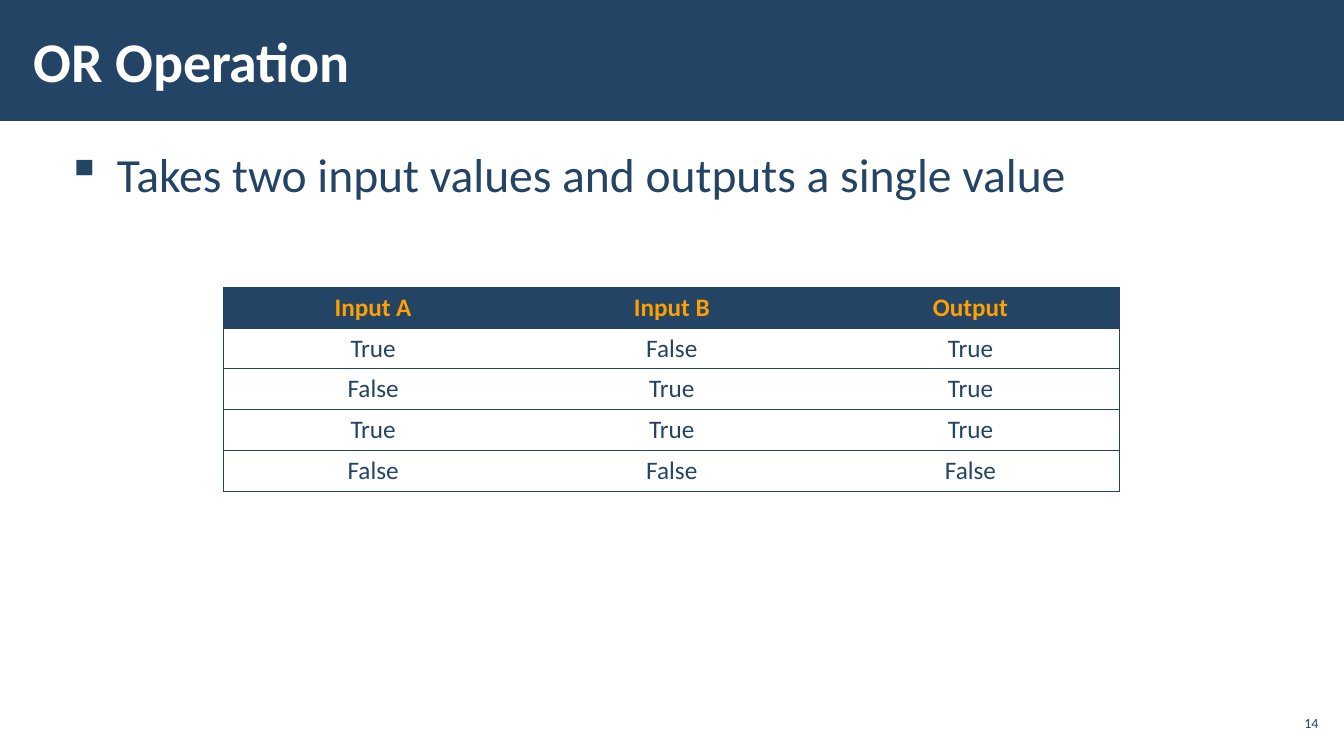
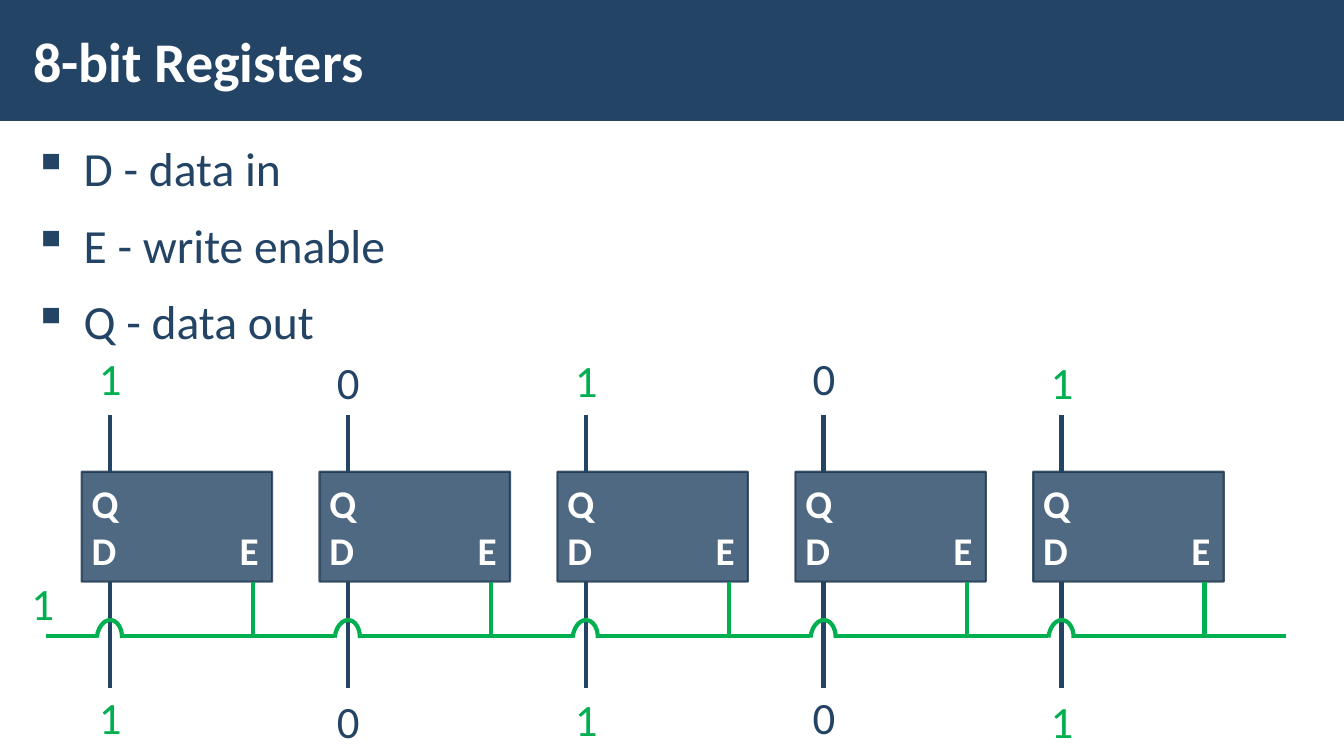
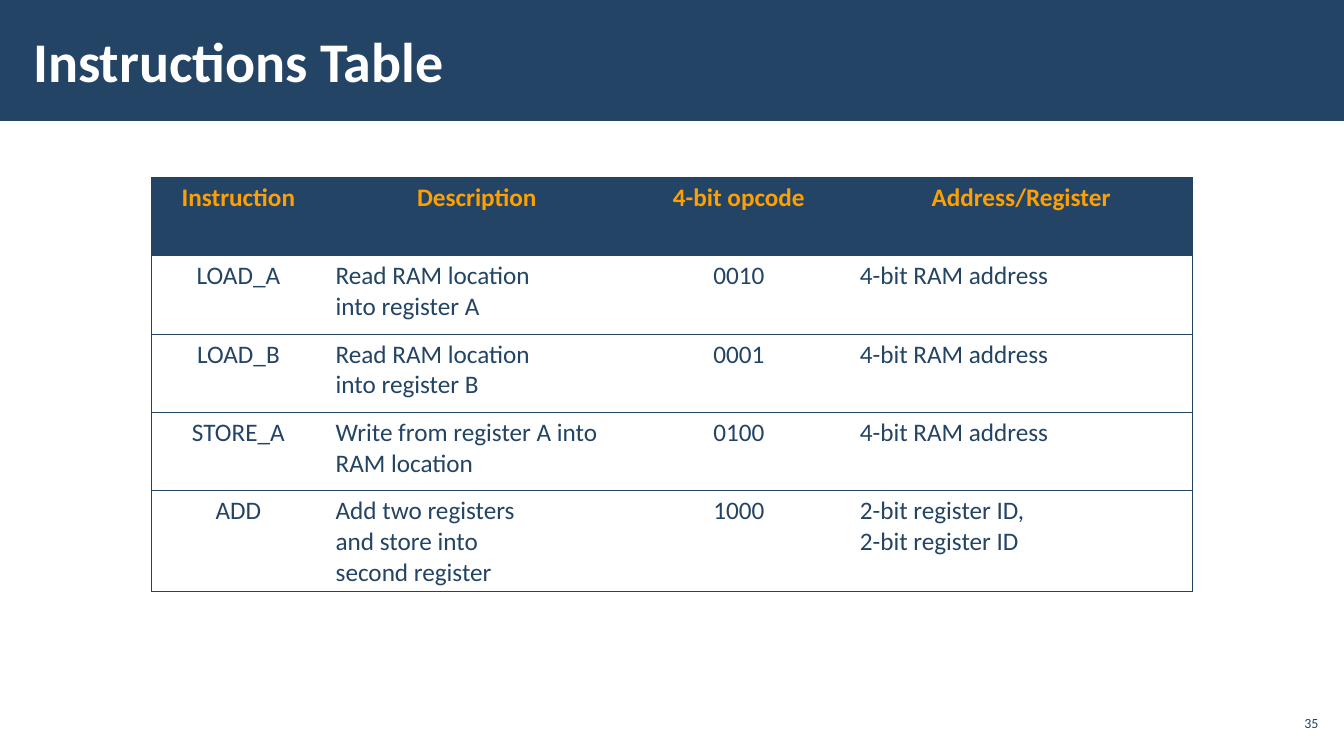
from lxml import etree
from pptx import Presentation
from pptx import util as u
from pptx.dml.color import RGBColor
from pptx.enum import shapes, text
from pptx.oxml.ns import qn

# Theme
NAVY = RGBColor(0x23, 0x44, 0x65)
EDGE = RGBColor(0x1A, 0x33, 0x4C)
RULE = RGBColor(0x21, 0x43, 0x64)
AMBER = RGBColor(0xFF, 0xA0, 0x00)
GREEN = RGBColor(0x00, 0xB0, 0x50)
WHITE = RGBColor(0xFF, 0xFF, 0xFF)
LEFT, CENTER, RIGHT = text.PP_ALIGN.LEFT, text.PP_ALIGN.CENTER, text.PP_ALIGN.RIGHT
MIDDLE = text.MSO_ANCHOR.MIDDLE
NO_STYLE = "{2D5ABB26-0587-4C30-8999-92F81FD0307C}"

# Grid of square cells, a tenth of an inch each
COLUMNS, ROWS = 133.33, 75


def grid(*cells):
    return [u.Inches(cell / 10) for cell in cells]


def write(frame, words, size, color, align=LEFT, bold=False, insets=None, anchor=None):
    frame.text = words
    if anchor is not None:
        frame.vertical_anchor = anchor
    if insets:
        side, edge = grid(*insets)
        frame.margin_left = frame.margin_right = side
        frame.margin_top = frame.margin_bottom = edge
    for paragraph in frame.paragraphs:
        paragraph.alignment = align
        for run in paragraph.runs:
            run.font.color.rgb = color
            for key, value in dict(name="Calibri", size=u.Pt(size), bold=bold).items():
                setattr(run.font, key, value)


deck = Presentation()
deck.slide_width, deck.slide_height = grid(COLUMNS, ROWS)

# Band, title, bullets and page number of every slide
pages = [
    ("OR Operation", "14", "Takes two input values and outputs a single value", (5.4, 13.7, 123.3, 57.7)),
    ("8-bit Registers", None, "D - data in\nE - write enable\nQ - data out", (2.1, 13.1, 129.2, 22.5)),
    ("Instructions Table", "35", None, None),
]
slides = []
for heading, number, points, points_area in pages:
    slide = deck.slides.add_slide(deck.slide_layouts[5])
    slides.append(slide)

    band = slide.shapes.add_shape(shapes.MSO_SHAPE.RECTANGLE, *grid(0, 0, COLUMNS, 12))
    band.shadow.inherit = False
    band.fill.solid()
    band.fill.fore_color.rgb = NAVY
    band.line.fill.background()
    slide.shapes._spTree.insert(2, band._element)

    title = slide.shapes.title
    title.left, title.top, title.width, title.height = grid(2.1, 1.1, 104, 9.7)
    write(title.text_frame, heading, 40, WHITE, bold=True, insets=(1.2, 0.4), anchor=MIDDLE)

    if points:
        bullets = slide.shapes.add_textbox(*grid(*points_area)).text_frame
        bullets.word_wrap = True
        write(bullets, points, 34, NAVY, insets=(1.2, 0.4))
        for index, point in enumerate(bullets.paragraphs):
            properties = point._p.get_or_add_pPr()
            properties.set("marL", str(u.Inches(0.5)))
            properties.set("indent", str(-u.Inches(0.5)))
            etree.SubElement(properties, qn("a:buChar"), char="▪")
            point.line_spacing = 1.05
            point.space_before = u.Pt(6 if index else 0)
            point.space_after = u.Pt(6)

    if number:
        page_number = slide.shapes.add_textbox(*grid(126.5, 70, 4.7, 3.4)).text_frame
        page_number.word_wrap = True
        write(page_number, number, 10, NAVY, RIGHT, insets=(0.4, 0.4), anchor=MIDDLE)

or_slide, register_slide, instruction_slide = slides

# Truth table and instruction table
truth_rows = [
    ("Input A", "Input B", "Output"),
    ("True", "False", "True"),
    ("False", "True", "True"),
    ("True", "True", "True"),
    ("False", "False", "False"),
]
instruction_rows = [
    ("Instruction", "Description", "4-bit opcode", "Address/Register"),
    ("LOAD_A", "Read RAM location\ninto register A", "0010", "4-bit RAM address"),
    ("LOAD_B", "Read RAM location\ninto register B", "0001", "4-bit RAM address"),
    ("STORE_A", "Write from register A into RAM location", "0100", "4-bit RAM address"),
    ("ADD", "Add two registers\nand store into\nsecond register", "1000",
     "2-bit register ID,\n2-bit register ID"),
]
tables = [
    (or_slide, truth_rows, (22.2, 28.5), (29.63, 29.63, 29.63), 4.05, (CENTER,) * 3),
    (instruction_slide, instruction_rows, (15, 17.6), (17.3, 30, 22, 34), 7.77,
     (CENTER, LEFT, CENTER, LEFT)),
]
for slide, rows, corner, widths, row_height, aligns in tables:
    area = grid(*corner, sum(widths), row_height * len(rows))
    table = slide.shapes.add_table(len(rows), len(widths), *area).table
    table.horz_banding = False
    table._tbl.tblPr.find(qn("a:tableStyleId")).text = NO_STYLE
    for column, width in zip(table.columns, grid(*widths)):
        column.width = width
    for r, row in enumerate(rows):
        table.rows[r].height = grid(row_height)[0]
        for c, words in enumerate(row):
            cell = table.cell(r, c)
            sides = ["lnL"] * (c == 0) + ["lnR"] * (c == len(row) - 1) + ["lnT", "lnB"]
            for side in sides:
                border = etree.SubElement(cell._tc.get_or_add_tcPr(), qn("a:" + side), w=str(u.Pt(0.75)))
                paint = etree.SubElement(border, qn("a:solidFill"))
                etree.SubElement(paint, qn("a:srgbClr"), val=str(RULE))
            cell.fill.solid()
            cell.fill.fore_color.rgb = WHITE if r else NAVY
            write(cell.text_frame, words, 18, NAVY if r else AMBER,
                  aligns[c] if r else CENTER, bold=r == 0)

# Register boxes, one per bit
FIRST, PITCH = 8.1, 23.6
BOX_TOP, BOX_BOTTOM, BUS = 46.8, 57.7, 63.1
wires = [(4.6, BUS, FIRST + 1.5, BUS, GREEN)]
labels = [("1", 2.1, 56.6)]
for index, (bit, label_top) in enumerate(zip("10101", (34.3, 34.7, 34.5, 34.3, 34.7))):
    left = FIRST + index * PITCH
    data, enable = left + 2.8, left + 17
    register = register_slide.shapes.add_shape(
        shapes.MSO_SHAPE.RECTANGLE, *grid(left, BOX_TOP, 18.9, BOX_BOTTOM - BOX_TOP))
    register.shadow.inherit = False
    register.line.width = u.Pt(1.5)
    register.fill.solid()
    for paint, color in ((register.fill, NAVY), (register.line.fill, EDGE)):
        paint.solid()
        paint.fore_color.rgb = color
    for tint in register._element.spPr.iter(qn("a:srgbClr")):
        etree.SubElement(tint, qn("a:alpha"), val="80000")
    write(register.text_frame, "Q\nD\tE", 28, WHITE, bold=True, anchor=MIDDLE)
    pins = register.text_frame.paragraphs[1]._p.get_or_add_pPr()
    stops = etree.SubElement(pins, qn("a:tabLst"))
    etree.SubElement(stops, qn("a:tab"), pos=str(u.Inches(1.47)), algn="l")

    wires += [
        (data, 41.2, data, BOX_TOP, NAVY),
        (data, BOX_BOTTOM, data, 68.3, NAVY),
        (enable, BOX_BOTTOM, enable, BUS, GREEN),
        (left + 4, BUS, left + PITCH + 1.5, BUS, GREEN),
    ]
    labels += [(bit, left + 0.7, label_top), (bit, left + 0.7, label_top + 33.6)]

# Wires, with a hop where the enable bus crosses a data line
for x1, y1, x2, y2, color in wires:
    wire = register_slide.shapes.add_connector(
        shapes.MSO_CONNECTOR.STRAIGHT, *grid(x1, y1, x2, y2))
    wire.line.width = u.Pt(3)
    wire.line.color.rgb = color
    etree.SubElement(wire._element.spPr, qn("a:effectLst"))
for index in range(5):
    hop = register_slide.shapes.add_shape(
        shapes.MSO_SHAPE.ARC, *grid(FIRST + index * PITCH + 0.9, 62.1, 3.7, 2.5))
    hop.adjustments[1] = 49.29
    hop.rotation = 275.2
    hop.shadow.inherit = False
    hop.fill.background()
    hop.line.width = u.Pt(3)
    hop.line.color.rgb = GREEN

# Bit values
for bit, left, top in labels:
    value = register_slide.shapes.add_textbox(*grid(left, top, 4.3, 6.4)).text_frame
    value.word_wrap = False
    write(value, bit, 32, GREEN if bit == "1" else NAVY, CENTER)

deck.save("out.pptx")
